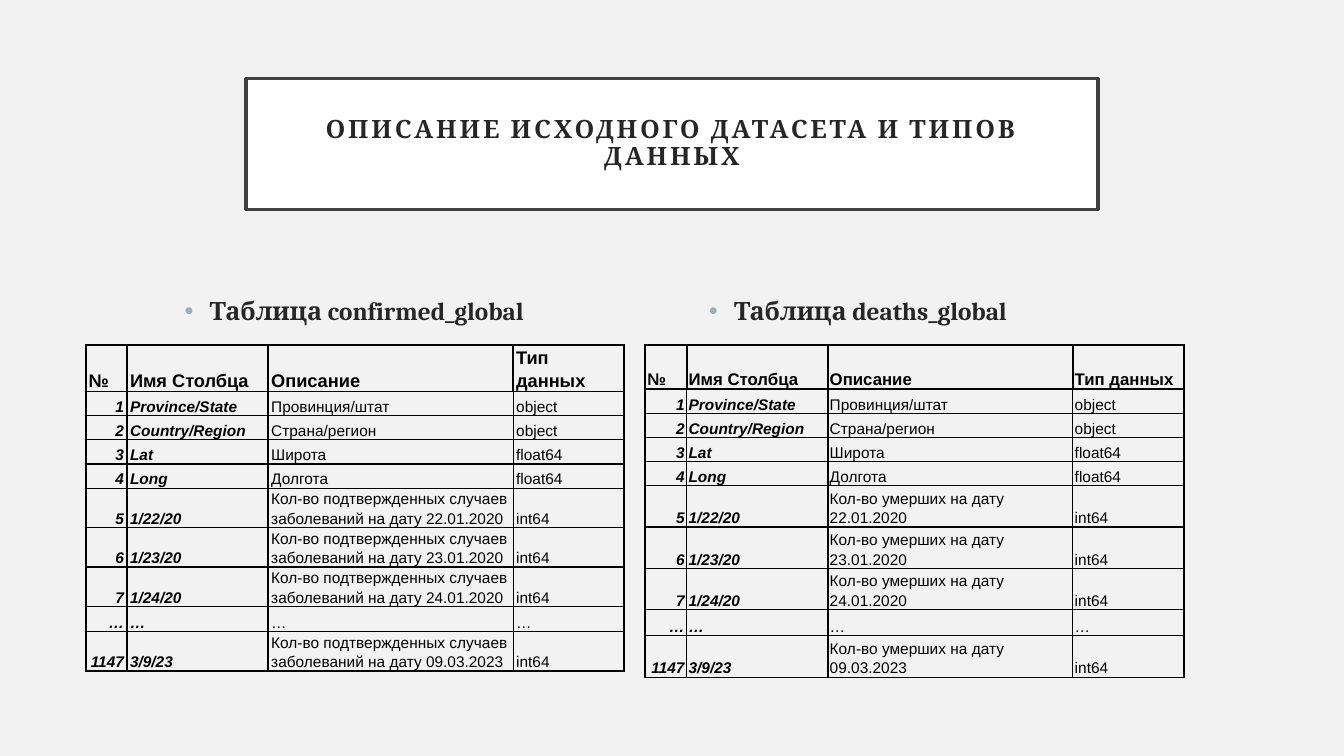
from lxml import etree
from pptx import Presentation, util as u
from pptx.dml.color import RGBColor
from pptx.enum import text as t
from pptx.oxml import ns

HUES = {"back": "F2F2F2", "box": "FFFFFF", "edge": "404040",
        "text": "262626", "dot": "9BAFB5", "grid": "000000"}
COLS = [0.41, 1.4, 2.43, 1.1]
HEAD = ["№", "Имя Столбца", "Описание", "Тип данных"]
PLACES = [("Province/State", "Провинция/штат", "object"),
          ("Country/Region", "Страна/регион", "object"),
          ("Lat", "Широта", "float64"),
          ("Long", "Долгота", "float64")]
DAYS = [("5", "1/22/20", "22.01.2020"), ("6", "1/23/20", "23.01.2020"),
        ("7", "1/24/20", "24.01.2020"), ("1147", "3/9/23", "09.03.2023")]
THIN, THICK = 1, 1.5


def hue(name):
    return RGBColor.from_string(HUES[name])


def place(shape, box):
    shape.left, shape.top, shape.width, shape.height = map(u.Inches, box)


def inset(item, side, ends):
    item.margin_left = item.margin_right = u.Inches(side)
    item.margin_top = item.margin_bottom = u.Inches(ends)


def write(para, words, size, face, color, bold=True, slant=False):
    run = para.add_run()
    run.text = words
    font = run.font
    font.size, font.name, font.bold, font.italic = u.Pt(size), face, bold, slant
    font.color.rgb = hue(color)
    return run


def add(parent, tag, **attrs):
    return etree.SubElement(parent, ns.qn(tag), attrs)


def tint(parent, color):
    add(add(parent, "a:solidFill"), "a:srgbClr", val=HUES[color])


def title(slide, box, words):
    shape = slide.shapes.title
    place(shape, box)
    shape.fill.solid()
    shape.fill.fore_color.rgb = hue("box")
    shape.line.color.rgb = hue("edge")
    shape.line.width = u.Pt(2.5)
    frame = shape.text_frame
    frame.auto_size = t.MSO_AUTO_SIZE.NONE
    frame.vertical_anchor = t.MSO_ANCHOR.MIDDLE
    inset(frame, 0.2, 0.2)
    para = frame.paragraphs[0]
    para.alignment = t.PP_ALIGN.CENTER
    para.line_spacing = 0.9
    run = write(para, words, 18, "Cambria", "text")
    run.font._element.set("spc", "200")


def label(shape, box, words):
    """Fill a body placeholder with one bulleted table name."""
    place(shape, box)
    frame = shape.text_frame
    frame.auto_size = t.MSO_AUTO_SIZE.NONE
    para = frame.paragraphs[0]
    para.space_before = u.Pt(10)
    props = para._p.get_or_add_pPr()
    props.set("marL", str(u.Inches(0.25)))
    props.set("indent", str(-u.Inches(0.25)))
    add(add(props, "a:buClr"), "a:srgbClr", val=HUES["dot"])
    add(props, "a:buFont", typeface="Arial")
    add(props, "a:buChar", char="•")
    write(para, words, 18, "Cambria", "text")


def border(cell, row, col):
    """Thick lines frame the header and each pair of columns."""
    head, odd = row == 0, col % 2
    widths = {"L": THICK if head or not odd else THIN,
              "R": THICK if head or odd else THIN,
              "T": THICK if row < 2 else THIN,
              "B": THICK if head else THIN}
    props = cell._tc.get_or_add_tcPr()
    for side, width in widths.items():
        tint(add(props, f"a:ln{side}", w=str(u.Pt(width))), "grid")


def grid(slide, box, rows, heights, size, pad):
    shape = slide.shapes.add_table(len(rows), len(COLS), *map(u.Inches, box))
    table = shape.table
    table.first_row = table.horz_banding = False
    for col, width in zip(table.columns, COLS):
        col.width = u.Inches(width)
    for r, (cells, height) in enumerate(zip(rows, heights)):
        table.rows[r].height = u.Inches(height)
        for c, words in enumerate(cells):
            cell = table.cell(r, c)
            border(cell, r, c)
            cell.fill.background()
            cell.vertical_anchor = t.MSO_ANCHOR.BOTTOM
            inset(cell, pad, 0)
            para = cell.text_frame.paragraphs[0]
            para.line_spacing = 1.15
            if r and c == 0:
                para.alignment = t.PP_ALIGN.RIGHT
            write(para, words, 11 if r else size, "Arial", "grid",
                  bold=r == 0 or c < 2, slant=r > 0 and c < 2)


def fields(count):
    """List all table rows, with count as the text before each date."""
    days = [(num, name, f"{count} на дату {date}", "int64")
            for num, name, date in DAYS]
    places = [(str(n), *row) for n, row in enumerate(PLACES, 1)]
    return [HEAD, *places, *days[:3], ["…"] * 4, days[3]]


def main():
    deck = Presentation()
    deck.slide_width, deck.slide_height = u.Inches(13.33), u.Inches(7.5)
    slide = deck.slides.add_slide(deck.slide_layouts[3])
    slide.background.fill.solid()
    slide.background.fill.fore_color.rgb = hue("back")

    title(slide, (2.44, 0.78, 8.45, 1.3),
          "ОПИСАНИЕ ИСХОДНОГО ДАТАСЕТА И ТИПОВ ДАННЫХ")
    halves = [
        (1, 1.73, "confirmed_global", 0.85,
         "Кол-во подтвержденных случаев заболеваний",
         (0.37, 0.24, 0.38, 0.25), 13, 0.03),
        (2, 6.93, "deaths_global", 6.4, "Кол-во умерших",
         (0.44, 0.24, 0.41, 0.26), 12, 0.02),
    ]
    for idx, left, name, edge, count, (top, low, tall, gap), size, pad in halves:
        label(slide.placeholders[idx], (left, 2.88, 4.67, 3.39),
              f"Таблица {name}")
        heights = [top, *[low] * 4, *[tall] * 3, gap, tall]
        grid(slide, (edge, 3.42, sum(COLS), sum(heights)),
             fields(count), heights, size, pad)
    deck.save("out.pptx")


if __name__ == "__main__":
    main()
